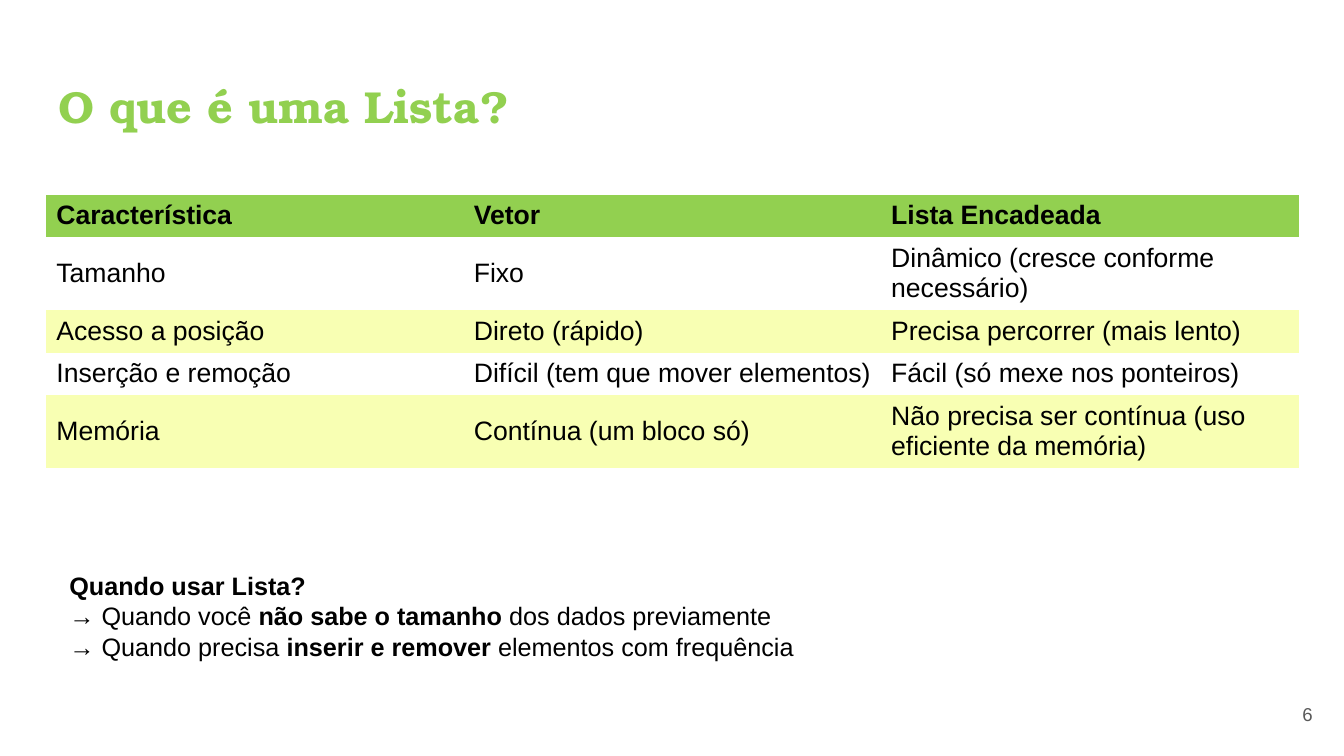
from pptx import Presentation
from pptx.dml.color import RGBColor
from pptx.enum.text import MSO_ANCHOR, PP_ALIGN
from pptx.util import Inches, Pt

# Content
TITLE = "O que é uma Lista?"
PAGE_NUMBER = "6"
COMPARISON = [
    ("Característica", "Vetor", "Lista Encadeada"),
    ("Tamanho", "Fixo", "Dinâmico (cresce conforme necessário)"),
    ("Acesso a posição", "Direto (rápido)", "Precisa percorrer (mais lento)"),
    ("Inserção e remoção", "Difícil (tem que mover elementos)", "Fácil (só mexe nos ponteiros)"),
    ("Memória", "Contínua (um bloco só)", "Não precisa ser contínua (uso eficiente da memória)"),
]
# Each line is a list of (text, bold) pieces
WHEN_TO_USE = [
    [("Quando usar Lista?", True)],
    [("→ Quando você ", False), ("não sabe o tamanho", True), (" dos dados previamente", False)],
    [("→ Quando precisa ", False), ("inserir e remover", True), (" elementos com frequência", False)],
]

# Look
GREEN, YELLOW, BLACK, GREY = "92D050", "F8FFB3", "000000", "595959"
BODY_FONT, TITLE_FONT = "Arial", "TeX Gyre Bonum"
ROW_HEIGHTS = [0.41, 0.72, 0.41, 0.41, 0.72]
COLUMN_WIDTH = 4.14
PLAIN_TABLE_STYLE = "{2D5ABB26-0587-4C30-8999-92F81FD0307C}"
MIDDLE, RIGHT = MSO_ANCHOR.MIDDLE, PP_ALIGN.RIGHT


def color(hex_code):
    return RGBColor.from_string(hex_code)


def style(run, size, bold=False, ink=BLACK, font=BODY_FONT):
    run.font.size = Pt(size)
    run.font.bold = bold
    run.font.name = font
    run.font.color.rgb = color(ink)


def add_text_frame(left, top, width, height, inset=None):
    frame = slide.shapes.add_textbox(
        Inches(left), Inches(top), Inches(width), Inches(height)).text_frame
    frame.word_wrap = True
    if inset is not None:
        frame.margin_left = frame.margin_right = Inches(inset)
        frame.margin_top = frame.margin_bottom = Inches(inset)
    return frame


prs = Presentation()
prs.slide_width, prs.slide_height = Inches(13.33), Inches(7.5)
slide = prs.slides.add_slide(prs.slide_layouts[6])

# Title
title = add_text_frame(0.45, 0.65, 12.42, 0.84, inset=0.13)
title.text = TITLE
style(title.paragraphs[0].runs[0], 32, True, GREEN, TITLE_FONT)

# Comparison table: header, then every second body row shaded
comparison = slide.shapes.add_table(
    len(COMPARISON), len(COMPARISON[0]), Inches(0.46), Inches(1.93),
    Inches(COLUMN_WIDTH * len(COMPARISON[0])), Inches(sum(ROW_HEIGHTS))).table
comparison.first_row = comparison.horz_banding = False
comparison._tbl.tblPr.find("{*}tableStyleId").text = PLAIN_TABLE_STYLE
for column in comparison.columns:
    column.width = Inches(COLUMN_WIDTH)
for r, (height, texts) in enumerate(zip(ROW_HEIGHTS, COMPARISON)):
    comparison.rows[r].height = Inches(height)
    for c, text in enumerate(texts):
        cell = comparison.cell(r, c)
        cell.text = text
        cell.vertical_anchor = MIDDLE
        style(cell.text_frame.paragraphs[0].runs[0], 19, bold=r == 0)
        if r % 2:
            cell.fill.background()
        else:
            cell.fill.solid()
            cell.fill.fore_color.rgb = color(YELLOW if r else GREEN)

# When to use a list
advice = add_text_frame(0.59, 5.61, 11.87, 1.01)
for i, pieces in enumerate(WHEN_TO_USE):
    line = advice.add_paragraph() if i else advice.paragraphs[0]
    for text, bold in pieces:
        run = line.add_run()
        run.text = text
        style(run, 18, bold)

# Page number
page = add_text_frame(12.35, 6.8, 0.8, 0.57, inset=0.13)
page.text = PAGE_NUMBER
page.vertical_anchor = MIDDLE
page.paragraphs[0].alignment = RIGHT
style(page.paragraphs[0].runs[0], 13.3, ink=GREY)

prs.save("out.pptx")
